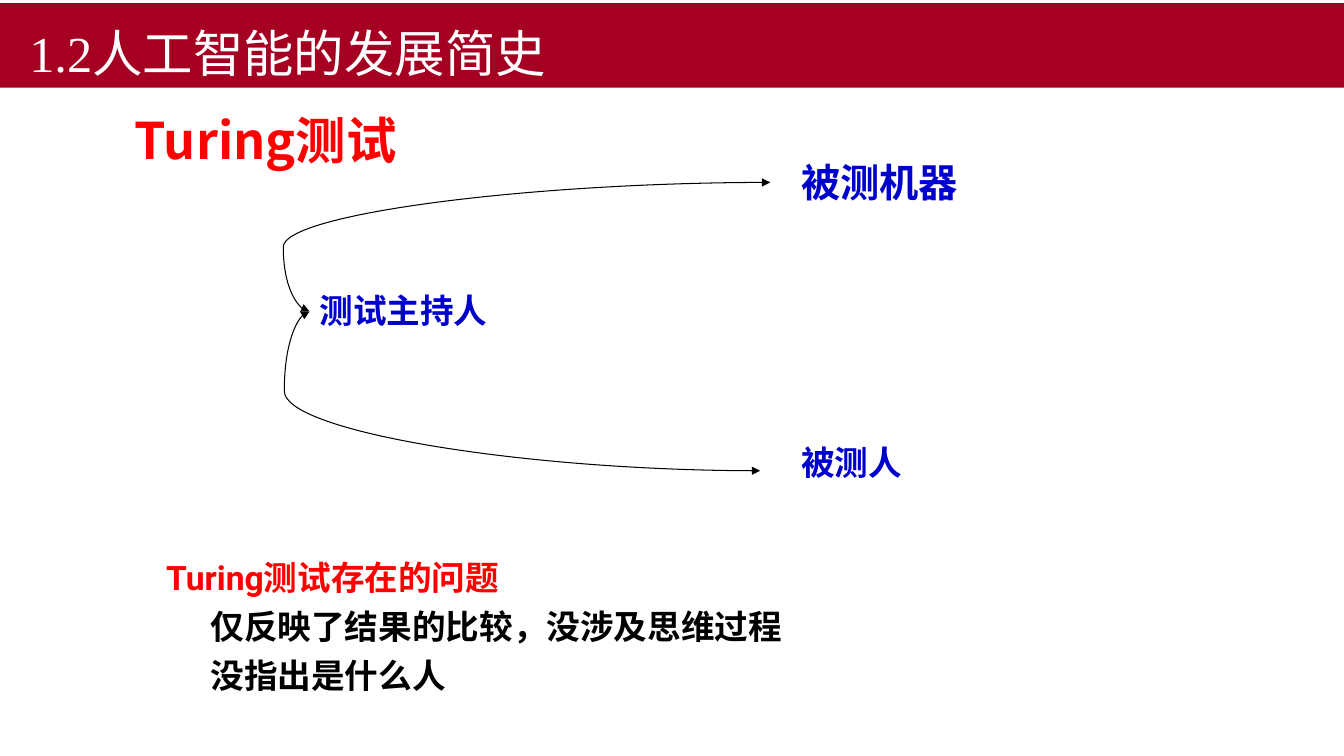
from lxml import etree
from pptx import Presentation
from pptx import util as u
from pptx.dml.color import RGBColor
from pptx.enum import shapes, text
from pptx.oxml.ns import qn

HEX = {"band": "A50021", "white": "FFFFFF", "red": "FF0000",
       "blue": "0000CC", "black": "000000"}
CJK = "Noto Sans CJK SC"
HOST = (3.07, 3.09)


def color(name):
    return RGBColor.from_string(HEX[name])


def write(para, words, size=24, tint="blue", face="Roboto", bold=True,
          left=0, first=0, gap=0):
    props = para._p.get_or_add_pPr()
    props.set("marL", str(u.Inches(left)))
    props.set("indent", str(u.Inches(first)))
    para.alignment = text.PP_ALIGN.LEFT
    para.space_before = u.Pt(gap)
    run = para.add_run()
    run.text = words
    font = run.font
    font.size = u.Pt(size)
    font.bold = bold
    font.color.rgb = color(tint)
    font.name = face
    etree.SubElement(font._element, qn("a:ea")).set("typeface", CJK)


def add_box(slide, left, top, width, height):
    box = slide.shapes.add_textbox(*map(u.Inches, (left, top, width, height)))
    box.text_frame.word_wrap = True
    return box.text_frame


def add_label(slide, place, words, **style):
    write(add_box(slide, *place).paragraphs[0], words, **style)


def add_curve(slide, start, end, bend):
    line = slide.shapes.add_connector(
        shapes.MSO_CONNECTOR.CURVE, *map(u.Inches, start + end))
    line.line.color.rgb = color("black")
    line.line.width = u.Pt(0.75)
    props = line._element.spPr
    guide = etree.SubElement(props.find(qn("a:prstGeom")).find(qn("a:avLst")),
                             qn("a:gd"))
    guide.set("name", "adj1")
    guide.set("fmla", f"val {bend}")
    stroke = line.line._get_or_add_ln()
    for tip in ("a:headEnd", "a:tailEnd"):
        etree.SubElement(stroke, qn(tip)).set("type", "triangle")
    etree.SubElement(props, qn("a:effectLst"))


def add_title(slide, words):
    title = slide.shapes.title
    title.left, title.top = u.Inches(0), u.Inches(0.03)
    title.width, title.height = u.Inches(13.33), u.Inches(0.84)
    title.fill.solid()
    title.fill.fore_color.rgb = color("band")
    frame = title.text_frame
    frame.vertical_anchor = text.MSO_ANCHOR.BOTTOM
    frame.auto_size = text.MSO_AUTO_SIZE.NONE
    write(frame.paragraphs[0], words, size=36, tint="white",
          face="Times New Roman", bold=False, first=0.19)


def add_issues(slide, head, points):
    frame = add_box(slide, 1.55, 5.48, 6.54, 1.72)
    write(frame.paragraphs[0], head, tint="red")
    for point in points:
        write(frame.add_paragraph(), point, tint="black", left=0.44, gap=6)


def main():
    deck = Presentation()
    deck.slide_width, deck.slide_height = u.Inches(13.33), u.Inches(7.5)
    slide = deck.slides.add_slide(deck.slide_layouts[5])
    add_title(slide, "1.2人工智能的发展简史")
    add_curve(slide, HOST, (7.64, 1.81), -5700)
    add_curve(slide, HOST, (7.54, 4.67), -5600)
    add_label(slide, (3.07, 2.83, 1.91, 0.51), "测试主持人")
    add_label(slide, (7.85, 1.52, 1.89, 0.57), "被测机器", size=28)
    add_label(slide, (7.85, 4.33, 1.56, 0.51), "被测人")
    add_label(slide, (1.24, 1.03, 4.14, 0.71), "Turing测试",
              size=36, tint="red", face=CJK)
    add_issues(slide, "Turing测试存在的问题",
               ["仅反映了结果的比较，没涉及思维过程", "没指出是什么人"])
    deck.save("out.pptx")


if __name__ == "__main__":
    main()
